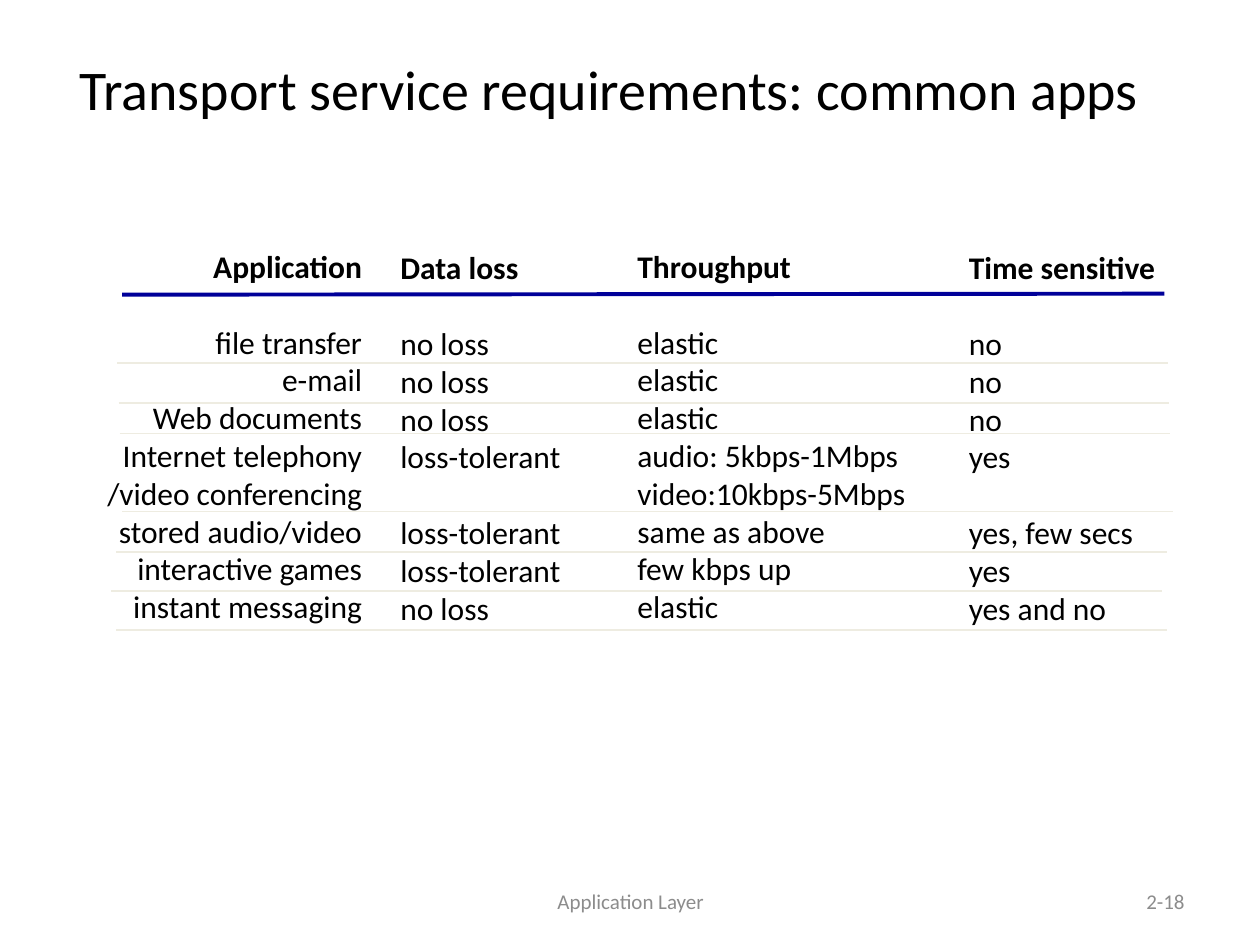
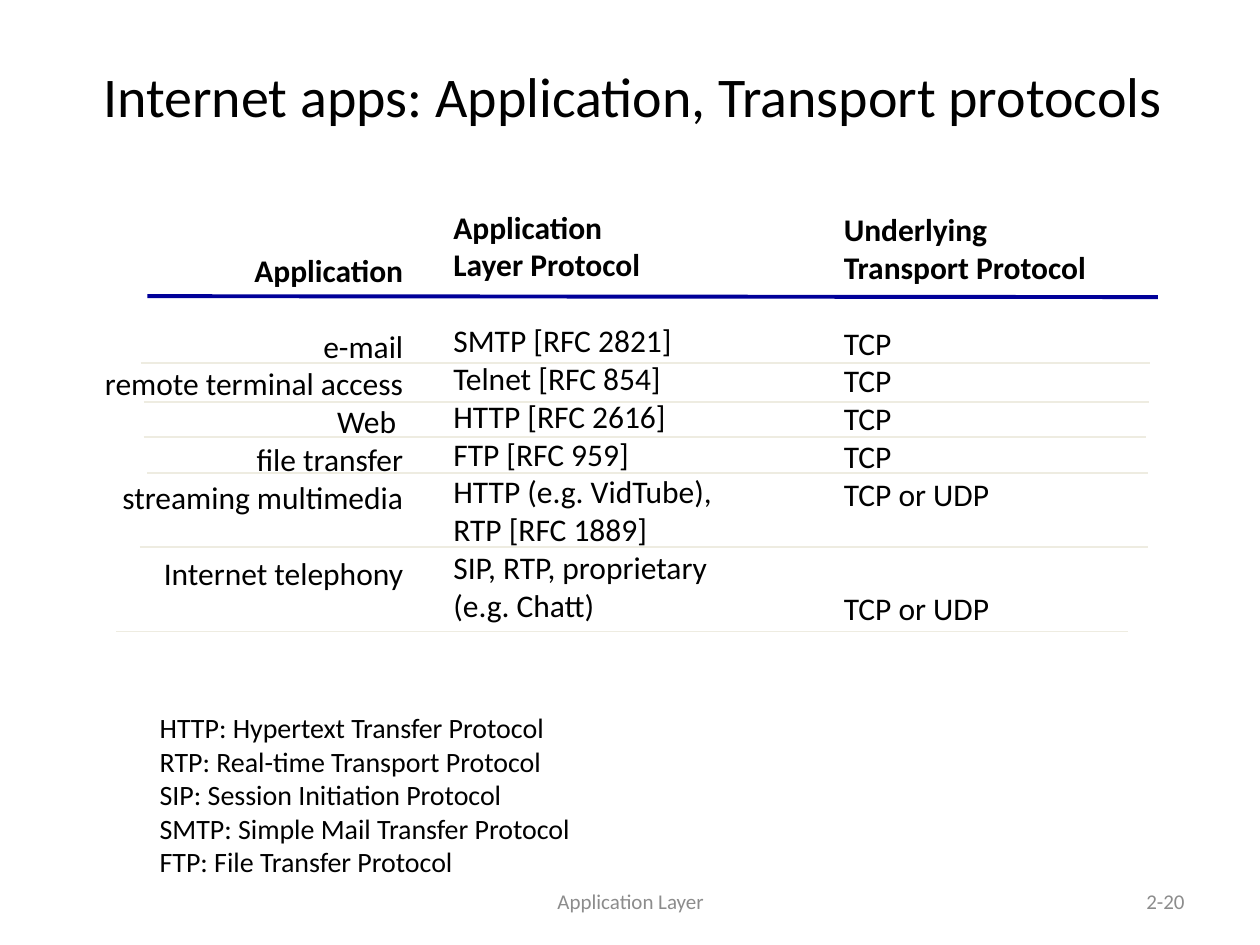
from dataclasses import dataclass

from lxml import etree
from pptx import Presentation
from pptx import util as u
from pptx.dml.color import RGBColor
from pptx.enum import shapes, text
from pptx.oxml.ns import qn


@dataclass(frozen=True)
class Theme:
    font: str = "Calibri"
    ink: str = "000000"
    muted: str = "8C8C8C"
    accent: str = "000099"
    hairline: str = "EEECE1"
    title: int = 32
    body: int = 18
    note: int = 16
    footer: int = 12
    accent_width: float = 2.25
    hairline_width: float = 1
    line_pt: float = 21.7   # height of one body line
    line_cm: float = 0.765


T = Theme()
LEFT, CENTER, RIGHT = (text.PP_ALIGN.LEFT, text.PP_ALIGN.CENTER,
                       text.PP_ALIGN.RIGHT)
MIDDLE = text.MSO_ANCHOR.MIDDLE
GAP = None  # an empty line in a column


def add_run(p, words, size, color, bold=False):
    r = p.add_run()
    r.text = words
    r.font.name, r.font.size, r.font.bold = T.font, u.Pt(size), bold
    r.font.color.rgb = RGBColor.from_string(color)


def add_text(s, box, lines, size, color=T.ink, align=LEFT,
             anchor=text.MSO_ANCHOR.TOP, bold_lines=0):
    """One paragraph a line; each GAP becomes space before the next one."""
    tf = s.shapes.add_textbox(*map(u.Cm, box)).text_frame
    tf.word_wrap = True
    tf.vertical_anchor = anchor
    gaps, p = 0, None
    for i, line in enumerate(lines):
        if line is GAP:
            gaps += 1
            continue
        p = tf.paragraphs[0] if p is None else tf.add_paragraph()
        p.alignment = align
        p.space_before = u.Pt(gaps * T.line_pt)
        gaps = 0
        for n, part in enumerate(line.split("\n")):
            if n:
                p.add_line_break()
            add_run(p, part, size, color, i < bold_lines)


def add_rule(s, x1, y1, x2, y2, color, width):
    c = s.shapes.add_connector(shapes.MSO_CONNECTOR.STRAIGHT,
                               *map(u.Cm, (x1, y1, x2, y2)))
    c.line.color.rgb = RGBColor.from_string(color)
    c.line.width = u.Pt(width)
    etree.SubElement(c._element.spPr, qn("a:effectLst"))


def frame_slide(prs, title, title_box, number):
    """A blank slide with its title and footer."""
    s = prs.slides.add_slide(prs.slide_layouts[6])
    add_text(s, (8.69, 17.65, 8.05, 1.02), ["Application Layer"],
             T.footer, T.muted, CENTER, MIDDLE)
    add_text(s, (18.21, 17.65, 5.92, 1.02), [number],
             T.footer, T.muted, RIGHT, MIDDLE)
    add_text(s, title_box, [title], T.title, align=CENTER, anchor=MIDDLE)
    return s


def comparison(s, left, top, columns, header_rule, row_rules):
    """Ruled text columns; every offset is measured from left, top."""
    for i, (x, y, w, heads, cells) in enumerate(columns):
        lines = heads + [GAP] + cells
        add_text(s, (left + x, top + y, w, len(lines) * T.line_cm + 0.25),
                 lines, T.body, align=LEFT if i else RIGHT,
                 bold_lines=len(heads))
    x1, y1, x2, y2 = header_rule
    add_rule(s, left + x1, top + y1, left + x2, top + y2,
             T.accent, T.accent_width)
    for x1, x2, y in row_rules:
        add_rule(s, left + x1, top + y, left + x2, top + y,
                 T.hairline, T.hairline_width)


def requirements_slide(prs):
    s = frame_slide(prs, "Transport service requirements: common apps",
                    (0.89, 0.64, 22.78, 2.26), "2-18")
    columns = [
        (0, 0, 5.72, ["Application"],
         ["file transfer", "e-mail", "Web documents", "Internet telephony",
          "/video conferencing", "stored audio/video", "interactive games",
          "instant messaging"]),
        (5.99, 0.03, 3.76, ["Data loss"],
         ["no loss"] * 3 + ["loss-tolerant", GAP, "loss-tolerant",
                            "loss-tolerant", "no loss"]),
        (10.77, 0, 7.16, ["Throughput"],
         ["elastic"] * 3 + ["audio: 5kbps-1Mbps", "video:10kbps-5Mbps",
                            "same as above", "few kbps up", "elastic"]),
        (17.45, 0.03, 5.74, ["Time sensitive"],
         ["no"] * 3 + ["yes", GAP, "yes, few secs", "yes", "yes and no"]),
    ]
    rule_width = 21.18
    rule_starts = [(0.53, 2.47), (0.56, 3.28), (0.58, 3.89), (0.63, 5.46),
                   (0.51, 6.28), (0.41, 7.06), (0.51, 7.85)]
    comparison(s, 1.83, 4.85, columns, (0.63, 1.09, 21.64, 1.07),
               [(x, x + rule_width, y) for x, y in rule_starts])


def protocols_slide(prs):
    s = frame_slide(prs, "Internet apps: Application, Transport protocols",
                    (0.61, 0.74, 24.31, 2.34), "2-20")
    columns = [
        (0, 0.87, 6.58, ["Application"],
         ["e-mail", "remote terminal access", "Web ", "file transfer",
          "streaming multimedia", GAP, "Internet telephony"]),
        (7.09, 0, 7, ["Application", "Layer Protocol"],
         ["SMTP [RFC 2821]", "Telnet [RFC 854]", "HTTP [RFC 2616]",
          "FTP [RFC 959]", "HTTP (e.g. VidTube),\nRTP [RFC 1889]",
          "SIP, RTP, proprietary", "(e.g. Chatt)"]),
        (14.96, 0.05, 7.29, ["Underlying", "Transport Protocol"],
         ["TCP"] * 4 + ["TCP or UDP", GAP, GAP, "TCP or UDP"]),
    ]
    comparison(s, 1.8, 4.06, columns, (1.17, 1.91, 21.54, 1.93),
               [(1.04, 21.39, 3.26), (1.1, 21.36, 4.04), (1.1, 21.31, 4.75),
                (1.17, 21.34, 5.48), (1.02, 21.34, 6.96),
                (0.54, 20.93, 8.67)])
    # Glossary of the abbreviations
    add_text(s, (2.97, 14.2, 13.13, 4.37),
             ["HTTP: Hypertext Transfer Protocol",
              "RTP: Real-time Transport Protocol",
              "SIP: Session Initiation Protocol",
              "SMTP: Simple Mail Transfer Protocol",
              "FTP: File Transfer Protocol"], T.note)


def main():
    prs = Presentation()
    prs.slide_width, prs.slide_height = u.Cm(25.4), u.Cm(19.05)
    requirements_slide(prs)
    protocols_slide(prs)
    prs.save("out.pptx")


if __name__ == "__main__":
    main()
